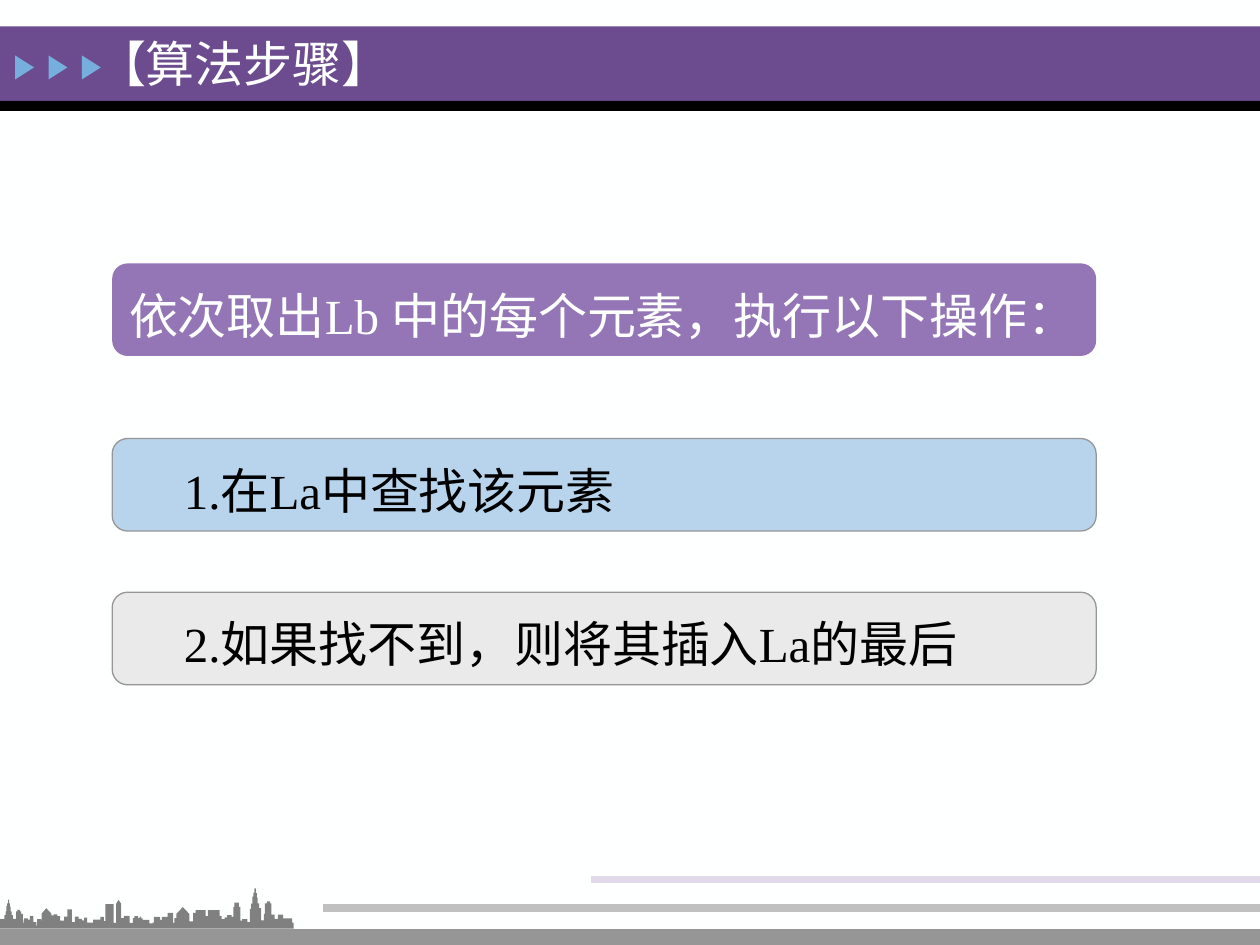
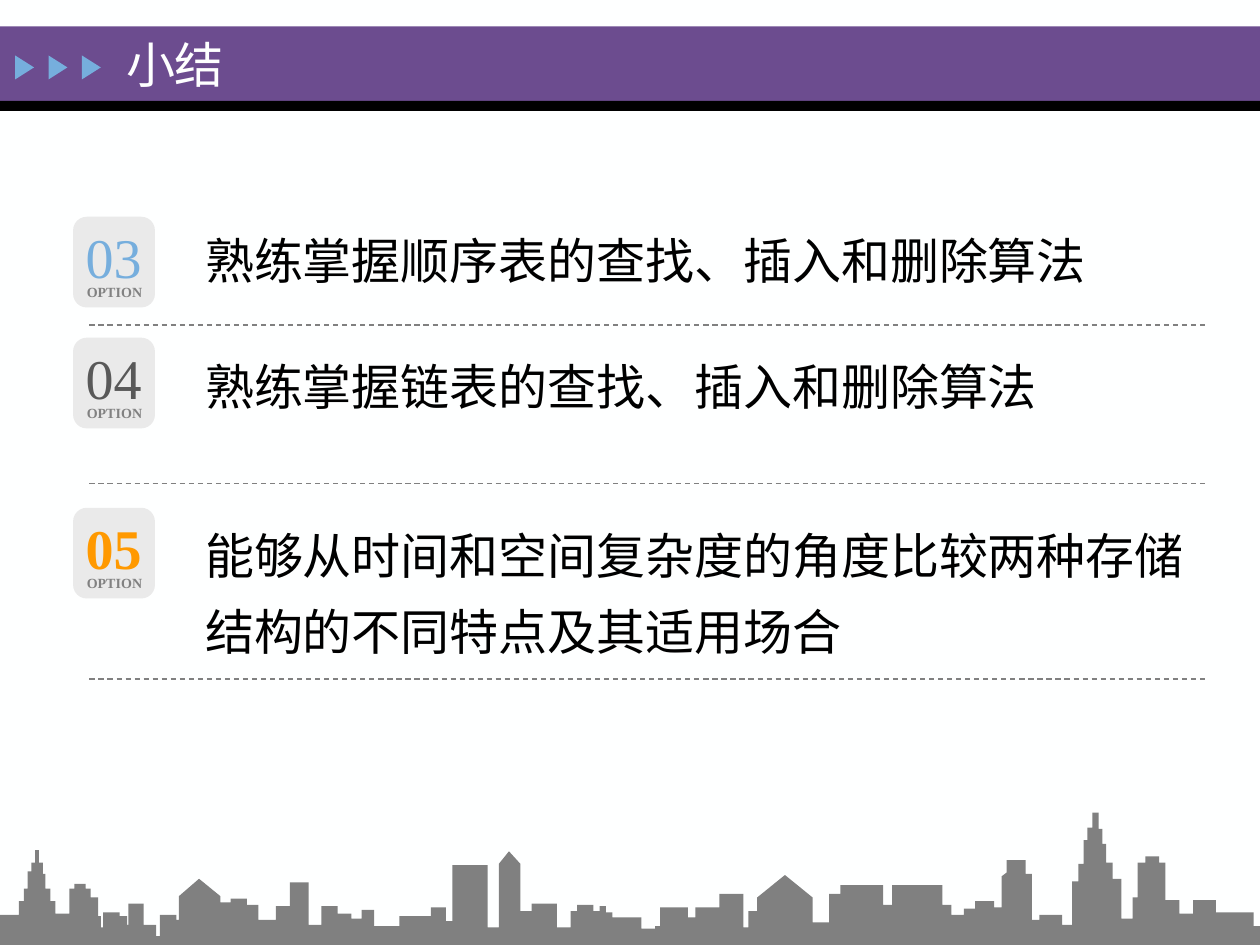
from lxml import etree
from pptx import Presentation
from pptx import util as u
from pptx.dml.color import RGBColor
from pptx.enum import dml, shapes, text
from pptx.oxml import ns

COLS, ROWS = 100, 75
CELL = u.Inches(10) // COLS
FONT = "Times New Roman"
HUES = {
    "page": "FEFFFF", "band": "6C4C8F", "ink": "000000", "blue": "76AEDD",
    "lilac": "9476B6", "sky": "B8D4EC", "pale": "EAEAEA", "edge": "969696",
    "silver": "C0C0C0", "mist": "E2D9EB", "city": "808080", "label": "818181",
    "dark": "595959", "gold": "FF9900",
}
KIND = shapes.MSO_SHAPE
CITY_H = 107
CITY = """0,25 15,36 19,46 22,60 25,67 28,77 31,67 34,58 36,46 40,36 44,26 55,46
59,50 68,46 72,39 78,24 80,15 82,27 95,24 101,17 102,34 114,17 124,8 127,25 140,21
142,40 /158,54 /175,40 175,35 183,38 196,33 205,21 219,32 230,51 245,17 255,32 268,26
279,22 287,29 297,16 317,24 342,31 354,20 359,65 387,15 396,66 /404,76 /413,66 413,28
422,34 442,15 453,28 458,33 471,28 476,32 481,27 486,23 509,14 520,16 524,31 546,23
552,31 571,42 590,15 594,28 601,39 /623,57 /645,39 645,19 658,42 667,49 701,33 708,49
748,33 755,25 765,30 774,36 789,31 795,56 /799,59 799,69 814,58 819,21 825,25 843,17
851,52 856,66 860,85 863,95 867,107 872,94 875,82 878,67 883,54 890,22 899,39 903,67
909,72 920,67 925,37 936,26 947,37 965,27 995,16 1000,0"""


def span(*cells):
    return [u.Emu(round(c * CELL)) for c in cells]


def tint(name):
    return RGBColor.from_string(HUES[name])


def paint(shape, fill, line=None):
    shape.shadow.inherit = False
    shape.fill.solid()
    shape.fill.fore_color.rgb = tint(fill)
    if line:
        shape.line.color.rgb = tint(line)
        shape.line.width = u.Pt(0.75)
    else:
        shape.line.fill.background()
    return shape


def block(slide, box, fill, kind=KIND.RECTANGLE, line=None):
    return paint(slide.shapes.add_shape(kind, *span(*box)), fill, line)


def write(shape, words, size=28, hue="ink", bold=False, gap=1.0,
          mid=False, pad=(1, 0.5, 0, 0.5), wrap=True):
    frame = shape.text_frame
    frame.auto_size = text.MSO_AUTO_SIZE.NONE
    frame.word_wrap = wrap
    frame.vertical_anchor = text.MSO_ANCHOR.MIDDLE if mid else text.MSO_ANCHOR.TOP
    (frame.margin_left, frame.margin_top,
     frame.margin_right, frame.margin_bottom) = span(*pad)
    para = frame.paragraphs[0]
    para.alignment = text.PP_ALIGN.LEFT
    para.line_spacing = gap
    run = para.add_run()
    run.text = words
    font = run.font
    font.name, font.size, font.bold = FONT, u.Pt(size), bold
    font.color.rgb = tint(hue)


def label(slide, box, words, **form):
    write(slide.shapes.add_textbox(*span(*box)), words, **form)


def rule(slide, left, right, y, hue, width, dash=False):
    line = slide.shapes.add_connector(
        shapes.MSO_CONNECTOR.STRAIGHT, *span(left, y, right, y))
    line.line.color.rgb = tint(hue)
    line.line.width = u.Pt(width)
    if dash:
        line.line.dash_style = dml.MSO_LINE.DASH
    etree.SubElement(line.element.spPr, ns.qn("a:effectLst"))


def city(slide, box):
    left, top, wide, high = span(*box)
    points, last = [], CITY_H
    for mark in CITY.split():
        x, rise = map(int, mark.strip("/").split(","))
        y = CITY_H - rise
        if not mark.startswith("/"):
            points.append((x, last))
        points.append((x, y))
        last = y
    pen = slide.shapes.build_freeform(*points[0], scale=(wide / 1000, high / CITY_H))
    pen.add_line_segments(points[1:], close=True)
    paint(pen.convert_to_shape(left, top), "city")


def band(deck, slide):
    master = deck.slide_master
    master.background.fill.solid()
    master.background.fill.fore_color.rgb = tint("page")
    parts = [block(slide, (0, 2.1, COLS, 5.9), "band"),
             block(slide, (0, 8, COLS, 0.8), "ink")]
    for i in range(3):
        arrow = block(slide, (1 + 2.65 * i, 4.6, 1.9, 1.5), "blue",
                      KIND.ISOSCELES_TRIANGLE)
        arrow.rotation = 90
        parts.append(arrow)
    for part in parts:
        master.shapes.element.append(part.element)


def page(deck, words, box):
    slide = deck.slides.add_slide(deck.slide_layouts[5])
    title = slide.shapes.title
    title.left, title.top, title.width, title.height = span(*box)
    write(title, words, hue="page", mid=True)
    return slide


def steps(slide, box):
    left, top, wide, high = box
    head = block(slide, box, "lilac", KIND.ROUNDED_RECTANGLE)
    write(head, "依次取出Lb 中的每个元素，执行以下操作：", hue="page", gap=1.2)
    rows = [(13.9, "sky", "1.在La中查找该元素"),
            (26.1, "pale", "2.如果找不到，则将其插入La的最后")]
    for drop, fill, words in rows:
        y = top + drop
        block(slide, (left, y, wide, high), fill, KIND.ROUNDED_RECTANGLE, "edge")
        label(slide, (left + 0.1, y + 0.3, wide - 3.2, 6.5), words,
              gap=1.2, pad=(5.6, 0.5, 0, 0.5))


def foot(slide):
    for left, y, hue, width in [(0, 74.5, "edge", 11.25),
                                (25.6, 72.1, "silver", 4.5),
                                (46.9, 69.8, "mist", 4.5)]:
        rule(slide, left, COLS, y, hue, width)
    city(slide, (0, 70.5, 23.3, 3.2))


def option(slide, box, num, hue, words, shift, bold=False, gap=1.0):
    left, top, wide, high = box
    block(slide, (left, top, 6.5, 7.2), "pale", KIND.ROUNDED_RECTANGLE)
    label(slide, (left + 1, top + 0.4, 5.5, 5.4), num, size=32, hue=hue,
          bold=bold, mid=True, pad=(0, 0, 0, 0))
    label(slide, (left + 0.1, top + 4.8, 6.5, 2.4), "OPTION", size=8,
          hue="label", bold=True, wrap=False)
    label(slide, (left + 9.5, top + shift, wide - 9.5, high - shift), words, gap=gap)
    rule(slide, left + 1.3, left + wide, top + high, "city", 0.75, True)


def main():
    deck = Presentation()
    deck.slide_width, deck.slide_height = span(COLS, ROWS)

    first = page(deck, "【算法步骤】", (6.7, 1.7, 41.3, 6.6))
    band(deck, first)
    steps(first, (8.9, 20.9, 78.1, 7.35))
    foot(first)

    last = page(deck, "小结", (9, 2.2, 18.3, 5.7))
    option(last, (5.8, 17.2, 89.9, 8.6), "03", "blue",
           "熟练掌握顺序表的查找、插入和删除算法", 0.6)
    option(last, (5.8, 26.8, 89.9, 11.6), "04", "dark",
           "熟练掌握链表的查找、插入和删除算法", 1)
    option(last, (5.8, 40.3, 89.9, 13.6), "05", "gold",
           "能够从时间和空间复杂度的角度比较两种存储结构的不同特点及其适用场合",
           -0.5, bold=True, gap=1.3)
    city(last, (0, 64.5, COLS, 10.6))

    deck.save("out.pptx")


if __name__ == "__main__":
    main()
